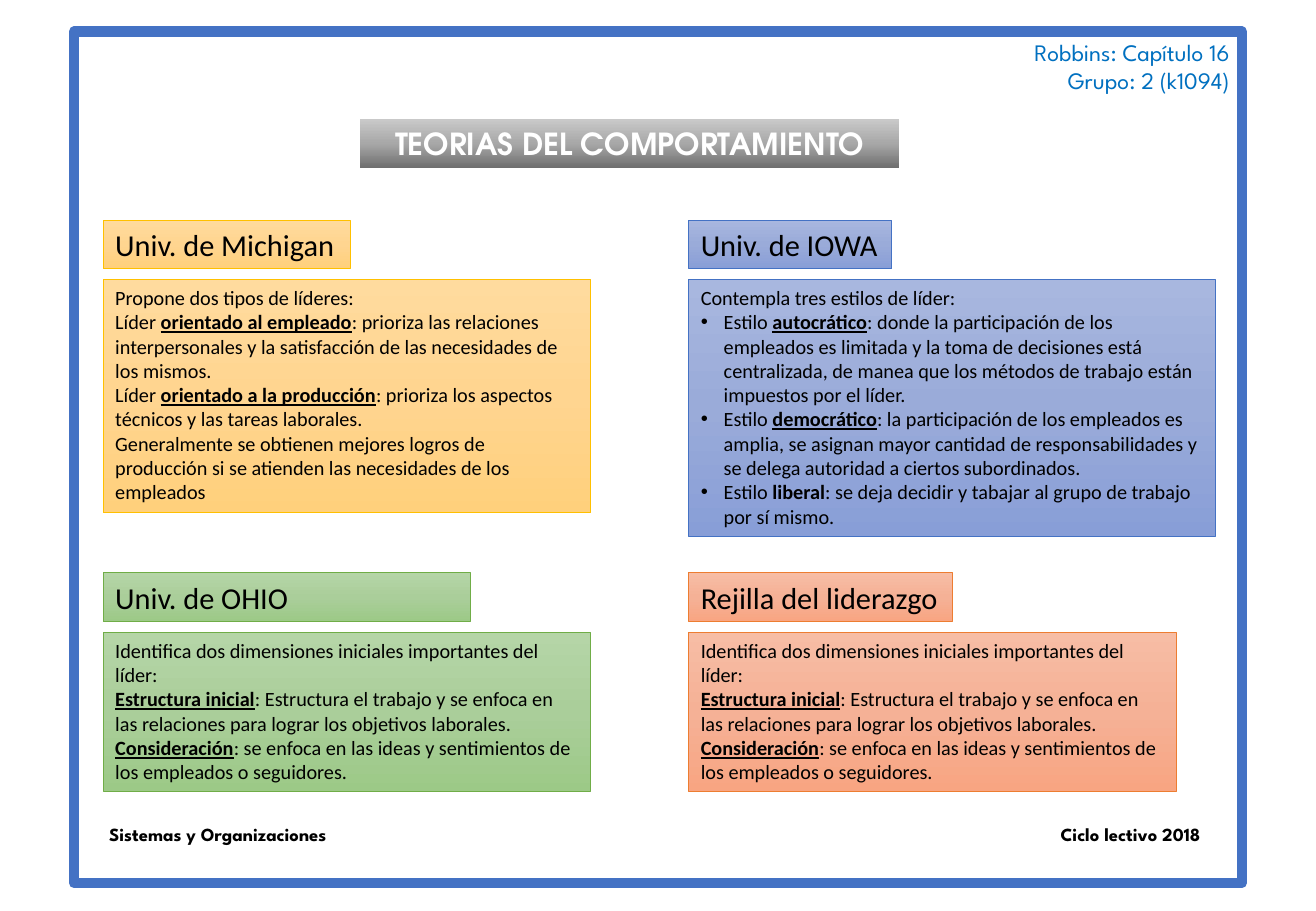
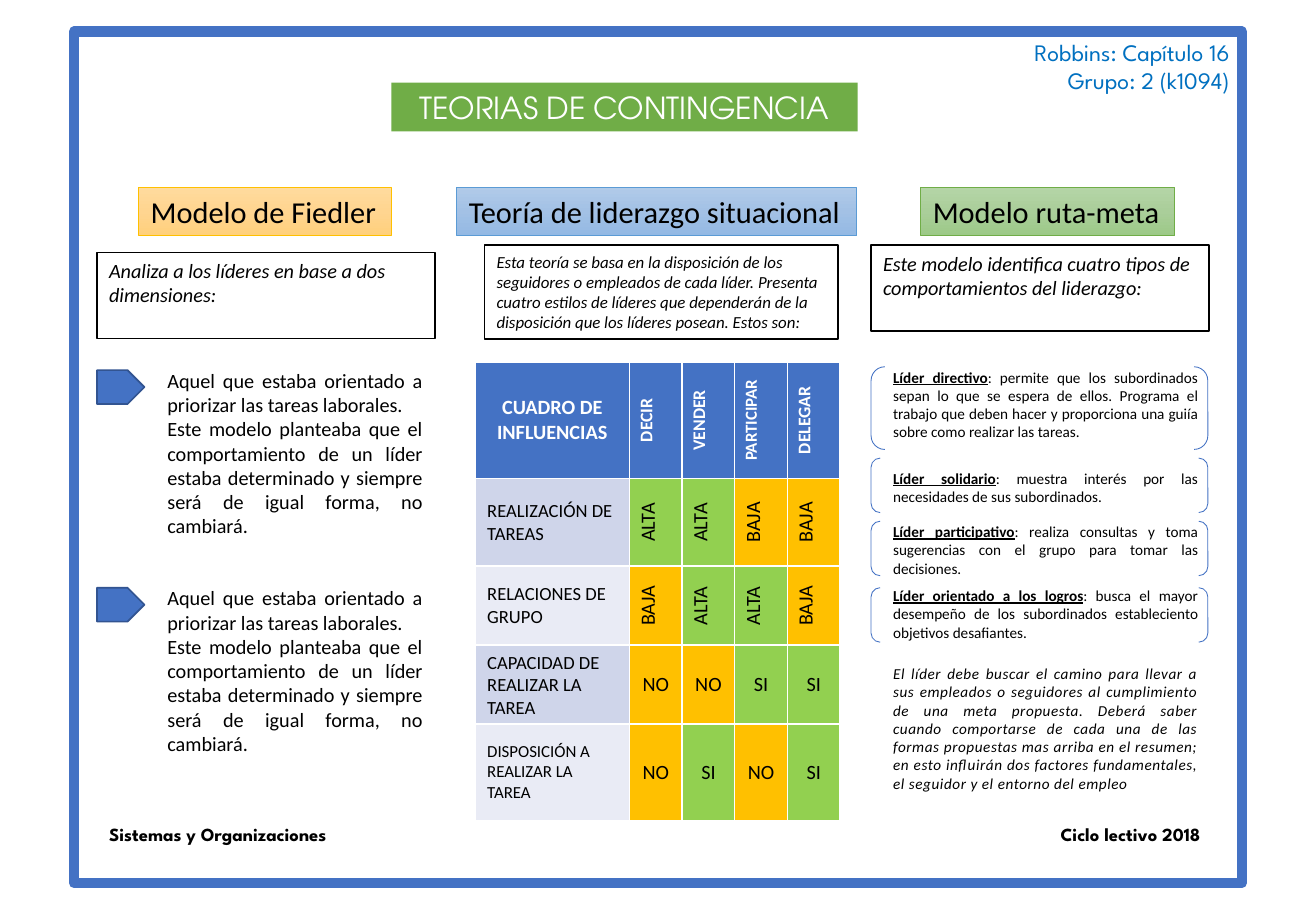
"""Build two slides on leadership theories."""
from copy import deepcopy

from lxml import etree
from pptx import Presentation
from pptx.dml.color import RGBColor
from pptx.enum import shapes as es, text as et
from pptx.oxml.ns import qn
from pptx.util import Cm, Pt

BLACK = RGBColor(0, 0, 0)
WHITE = RGBColor(255, 255, 255)
BLUE = RGBColor(0x44, 0x72, 0xC4)
NAVY = RGBColor(0x32, 0x54, 0x91)
SKY = RGBColor(0x00, 0x70, 0xC0)
GREEN = RGBColor(0x70, 0xAD, 0x47)
GOLD = RGBColor(0xFF, 0xC0, 0x00)
LIME = RGBColor(0x92, 0xD0, 0x50)
BANDS = [RGBColor(0xCF, 0xD5, 0xEA), RGBColor(0xE9, 0xEB, 0xF5)]


def shades(*codes):
    return [RGBColor.from_string(code) for code in codes]


GREY = shades("C9C9C9", "A8A8A8", "6F6F6F")
TONES = {
    "gold": (GOLD, shades("FFDB9E", "FFD590", "FFD07C")),
    "blue": (BLUE, shades("A8B7DF", "9AABD9", "889ED7")),
    "green": (GREEN, shades("B5D5A7", "AACE9A", "9CC987")),
    "coral": (RGBColor(0xED, 0x7D, 0x31), shades("F7BDA5", "F5B196", "F8A582")),
    "sky": (RGBColor(0x5B, 0x9B, 0xD5), shades("B1CBE9", "A3C1E5", "93B9E4")),
}
SANS, SPARTAN, TITLE = "Calibri", "League Spartan", "TeX Gyre Adventor"
LEFT, RIGHT = et.PP_ALIGN.LEFT, et.PP_ALIGN.RIGHT
MID, JUST = et.PP_ALIGN.CENTER, et.PP_ALIGN.JUSTIFY

# "|" toggles bold and "|_" adds an underline
AXES = [
    "Identifica dos dimensiones iniciales importantes del líder:",
    "|_Estructura inicial|: Estructura el trabajo y se enfoca en las relaciones "
    "para lograr los objetivos laborales.",
    "|_Consideración|: se enfoca en las ideas y sentimientos de los empleados o seguidores.",
]
THEORIES = [
    ("Univ. de Michigan", "gold", 5.16, 10.19, 4.88, [
        "Propone dos tipos de líderes:",
        "Líder |_orientado al empleado|: prioriza las relaciones interpersonales y la "
        "satisfacción de las necesidades de los mismos.",
        "Líder |_orientado a la producción|: prioriza los aspectos técnicos y las "
        "tareas laborales.",
        "Generalmente se obtienen mejores logros de producción si se atienden las "
        "necesidades de los empleados",
    ]),
    ("Univ. de IOWA", "blue", 4.24, 11, 5.38, [
        "Contempla tres estilos de líder:",
        "• Estilo |_autocrático|: donde la participación de los empleados es limitada y la "
        "toma de decisiones está centralizada, de manea que los métodos de trabajo están "
        "impuestos por el líder.",
        "• Estilo |_democrático|: la participación de los empleados es amplia, se asignan "
        "mayor cantidad de responsabilidades y se delega autoridad a ciertos subordinados.",
        "• Estilo |liberal|: se deja decidir y tabajar al grupo de trabajo por sí mismo.",
    ]),
    ("Univ. de OHIO", "green", 7.67, 10.19, 3.33, AXES),
    ("Rejilla del liderazgo", "coral", 5.51, 10.19, 3.33, AXES),
]
MODELS = [
    ("Modelo de Fiedler", "gold", 2.9, 5.28, (2.03, 5.28, 7.06, 1.8), 12,
     "Analiza a los líderes en base a dos dimensiones:"),
    ("Teoría de liderazgo situacional", "sky", 9.55, 8.36, (10.13, 5.13, 7.39, 1.96), 10,
     "Esta teoría se basa en la disposición de los seguidores o empleados de cada líder. "
     "Presenta cuatro estilos de líderes que dependerán de la disposición que los líderes "
     "posean. Estos son:"),
    ("Modelo ruta-meta", "green", 19.25, 5.31, (18.21, 5.13, 7.06, 1.8), 12,
     "Este modelo identifica cuatro tipos de comportamientos del liderazgo:"),
]
FIEDLER = [
    "Aquel que estaba orientado a priorizar las tareas laborales.",
    "Este modelo planteaba que el comportamiento de un líder estaba determinado y siempre "
    "será de igual forma, no cambiará.",
]
LEADERS = [
    (7.67, 1.73, 7.57, "|_Líder directivo|: permite que los subordinados sepan lo que se "
     "espera de ellos. Programa el trabajo que deben hacer y proporciona una guiía sobre "
     "como realizar las tareas."),
    (9.58, 1.14, 9.68, "|_Líder solidario|: muestra interés por las necesidades de sus "
     "subordinados."),
    (10.9, 1.14, 10.8, "|_Líder participativo|: realiza consultas y toma sugerencias con el "
     "grupo para tomar las decisiones."),
    (12.29, 1.14, 12.14, "|_Líder orientado a los logros|: busca el mayor desempeño de los "
     "subordinados estableciento objetivos desafiantes."),
]
CLOSING = ("El líder debe buscar el camino para llevar a sus empleados o seguidores al "
           "cumplimiento de una meta propuesta. Deberá saber cuando comportarse de cada una "
           "de las formas propuestas mas arriba en el resumen; en esto influirán dos factores "
           "fundamentales, el seguidor y el entorno del empleo")
GRID = [
    ["CUADRO DE INFLUENCIAS", "DECIR", "VENDER", "PARTICIPAR", "DELEGAR"],
    ["REALIZACIÓN DE TAREAS", "ALTA", "ALTA", "BAJA", "BAJA"],
    ["RELACIONES DE GRUPO", "BAJA", "ALTA", "ALTA", "BAJA"],
    ["CAPACIDAD DE REALIZAR LA TAREA", "NO", "NO", "SI", "SI"],
    ["DISPOSICIÓN A REALIZAR LA TAREA", "NO", "SI", "NO", "SI"],
]
WIDTHS = [3.23, 1.1, 1.1, 1.1, 1.1]
HEIGHTS = [2.44, 1.83, 1.65, 1.6, 2.01]
HEADS = [12, 10.5, 10.5, 10, 10.5]
LABELS = [12, 11, 11, 11, 10]


def write(frame, paras, size, font=SANS, color=BLACK, align=LEFT, bold=False, italic=False):
    frame.text = "\n".join(paras)
    for para, line in zip(frame.paragraphs, paras):
        para.text = ""
        para.alignment = align
        if line.startswith("• "):
            line = line[2:]
            props = para._p.get_or_add_pPr()
            props.set("marL", str(Cm(0.48)))
            props.set("indent", str(-Cm(0.48)))
            etree.SubElement(props, qn("a:buFont")).set("typeface", "Arial")
            etree.SubElement(props, qn("a:buChar")).set("char", "•")
        for num, part in enumerate(line.split("|")):
            if not part:
                continue
            run = para.add_run()
            run.text = part.lstrip("_")
            face = run.font
            face.name, face.size, face.color.rgb = font, Pt(size), color
            face.bold, face.italic = bold or num % 2 == 1, italic
            face.underline = part.startswith("_")


def shade(shape, tones):
    shape.fill.gradient()
    shape.fill.gradient_angle = 270
    stops = shape._element.spPr.find(".//" + qn("a:gsLst"))
    stops.insert(1, deepcopy(stops[0]))
    for num, (stop, tone) in enumerate(zip(shape.fill.gradient_stops, tones)):
        stop.color.rgb, stop.position = tone, num / 2


def edge(shape, color, width):
    shape.line.color.rgb, shape.line.width = color, Pt(width)


def place(box):
    return [Cm(size) for size in box]


def label(slide, box, paras, size, tone=None, wrap=True, **style):
    shape = slide.shapes.add_textbox(*place(box))
    shape.text_frame.word_wrap = wrap
    write(shape.text_frame, paras, size, **style)
    if tone:
        line, tones = TONES[tone]
        shade(shape, tones)
        edge(shape, line, 0.5)
    return shape


def preset(slide, kind, box, line, width, fill=None):
    shape = slide.shapes.add_shape(kind, *place(box))
    shape.shadow.inherit = False
    edge(shape, line, width)
    if fill:
        shape.fill.solid()
        shape.fill.fore_color.rgb = fill
    else:
        shape.fill.background()


def start(deck, name, box, bold):
    slide = deck.slides.add_slide(deck.slide_layouts[5])
    title = slide.shapes.title
    title.left, title.top, title.width, title.height = place(box)
    frame = title.text_frame
    frame.word_wrap, frame.auto_size = False, et.MSO_AUTO_SIZE.NONE
    frame.vertical_anchor = et.MSO_ANCHOR.MIDDLE
    write(frame, [name], 18, TITLE, WHITE, MID, bold)
    preset(slide, es.MSO_SHAPE.RECTANGLE, (1.55, 0.66, 24.41, 17.81), BLUE, 6)
    label(slide, (19.38, 0.66, 6.58, 1.45), ["Robbins: Capítulo 16", "Grupo: 2 (k1094)"],
          14, font=SPARTAN, color=SKY, align=RIGHT)
    for left, width, line in [(2.03, 5.59, "Sistemas y Organizaciones"),
                              (21.92, 3.86, "Ciclo lectivo 2018")]:
        label(slide, (left, 17.09, width, 0.72), [line], 11, wrap=False, font=SPARTAN, bold=True)
    return slide


def conduct(deck):
    slide = start(deck, "TEORIAS DEL COMPORTAMIENTO", (7.52, 2.49, 11.28, 1.02), True)
    shade(slide.shapes.title, GREY)
    for num, (name, tone, wide, width, height, paras) in enumerate(THEORIES):
        left, top = (2.16, 14.4)[num % 2], (4.6, 11.98)[num // 2]
        label(slide, (left, top, wide, 1.02), [name], 18, tone, False)
        label(slide, (left, top + 1.24, width, height), paras, 12, tone)


def influence(slide):
    table = slide.shapes.add_table(len(GRID), len(WIDTHS), Cm(9.93), Cm(7.57),
                                   Cm(sum(WIDTHS)), Cm(sum(HEIGHTS))).table
    for col, width in zip(table.columns, WIDTHS):
        col.width = Cm(width)
    for row, (height, words) in enumerate(zip(HEIGHTS, GRID)):
        table.rows[row].height = Cm(height)
        for col, word in enumerate(words):
            cell = table.cell(row, col)
            head, side = row == 0, col == 0
            if head:
                fill, size = BLUE, HEADS[col]
            elif side:
                fill, size = BANDS[(row - 1) % 2], LABELS[row]
            else:
                fill, size = LIME if word in ("ALTA", "SI") else GOLD, 12
            cell.fill.solid()
            cell.fill.fore_color.rgb = fill
            cell.vertical_anchor = et.MSO_ANCHOR.MIDDLE
            if row < 3 and not side:
                cell._tc.get_or_add_tcPr().set("vert", "vert270")
            write(cell.text_frame, [word], size, color=WHITE if head else BLACK,
                  align=LEFT if side and not head else MID, bold=head)


def depend(deck):
    slide = start(deck, "TEORIAS DE CONTINGENCIA", (8.18, 1.73, 9.75, 1.02), False)
    fill = slide.shapes.title.fill
    fill.solid()
    fill.fore_color.rgb = GREEN
    for name, tone, left, width, box, size, intro in MODELS:
        label(slide, (left, 3.91, width, 1.02), [name], 18, tone, False)
        note = label(slide, box, [intro], size, italic=True)
        note.fill.solid()
        note.fill.fore_color.rgb = WHITE
        edge(note, BLACK, 1)
    for top in (7.57, 12.12):
        preset(slide, es.MSO_SHAPE.PENTAGON, (2.03, top + 0.17, 0.99, 0.71), NAVY, 1, BLUE)
        label(slide, (3.25, top, 5.84, 3.84), FIEDLER, 12, align=JUST)
    influence(slide)
    for top, height, start_y, line in LEADERS:
        preset(slide, es.MSO_SHAPE.DOUBLE_BRACKET, (18.21, top, 7.04, height), BLUE, 0.5)
        label(slide, (18.42, start_y, 6.87, height), [line], 9, align=JUST)
    last = label(slide, (18.42, 13.77, 6.86, 2.95), [CLOSING], 9, align=JUST, italic=True)
    last.text_frame.paragraphs[0].runs[0]._r.get_or_add_rPr().set("spc", "35")


def main():
    deck = Presentation()
    deck.slide_width, deck.slide_height = Cm(27.51), Cm(19.05)
    conduct(deck)
    depend(deck)
    deck.save("out.pptx")


if __name__ == "__main__":
    main()
